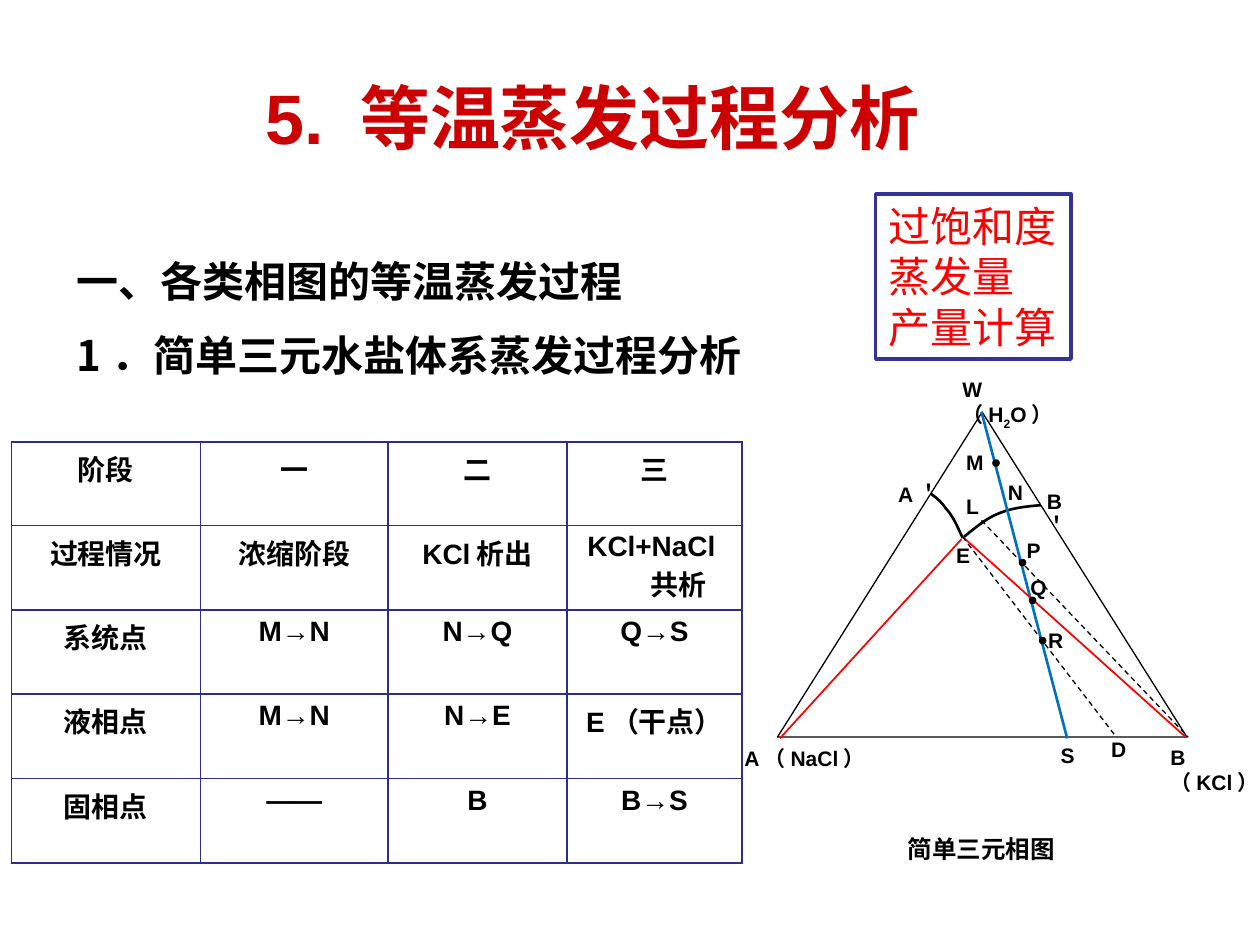
import pptx
import pptx.dml.color
import pptx.enum.dml
import pptx.enum.shapes
import pptx.enum.text
import pptx.oxml.ns
import pptx.util
import lxml.etree

Inches = pptx.util.Inches
Pt = pptx.util.Pt
Align = pptx.enum.text.PP_ALIGN
Shape = pptx.enum.shapes.MSO_SHAPE
qn = pptx.oxml.ns.qn

theme = {
    "colours": {
        name: pptx.dml.color.RGBColor.from_string(value)
        for name, value in {
            "white": "FFFFFF", "black": "000000", "red": "FF0000", "title": "CC0000",
            "blue": "0070C0", "frame": "333399", "grid": "2D2D8A",
        }.items()
    },
    "fonts": {"latin": "Arial", "chinese": "Noto Sans CJK SC"},
    "title": {"size": Pt(40), "bold": True, "name": "Arial"},
    "heading": {"size": Pt(24), "bold": True, "name": "Noto Sans CJK SC"},
    "topic": {"size": Pt(24), "bold": False, "name": "Arial"},
    "table": {"size": Pt(16), "bold": True, "name": "Arial"},
    "caption": {"size": Pt(14), "bold": True, "name": "Arial"},
    "label": {"size": Pt(12), "bold": True, "name": "Arial"},
}
colours = theme["colours"]


def write(frame, lines, style, colour="black", hanging=False, **layout):
    frame.word_wrap = True
    for index, line in enumerate(lines):
        para = frame.paragraphs[0] if index == 0 else frame.add_paragraph()
        for name, value in layout.items():
            if name != "space_before" or index > 0:
                setattr(para, name, value)
        if hanging:
            properties = para._p.get_or_add_pPr()
            properties.set("marL", str(Inches(0.38)))
            properties.set("indent", str(-Inches(0.38)))
        for position, text in enumerate(line.split("_")):
            span = para.add_run()
            span.text = text
            for name, value in theme[style].items():
                setattr(span.font, name, value)
            span.font.color.rgb = colours[colour]
            run_properties = span.font._element
            if position == 1:
                run_properties.set("baseline", "-25000")
            east_asian = lxml.etree.SubElement(run_properties, qn("a:ea"))
            east_asian.set("typeface", theme["fonts"]["chinese"])


def outline(shape, fill, colour, width):
    shape.shadow.inherit = False
    if fill:
        shape.fill.solid()
        shape.fill.fore_color.rgb = colours[fill]
    else:
        shape.fill.background()
    shape.line.color.rgb = colours[colour]
    shape.line.width = Pt(width)


deck = pptx.Presentation()
deck.slide_width = Inches(10)
deck.slide_height = Inches(7.5)
page = deck.slides.add_slide(deck.slide_layouts[6])
shapes = page.shapes

heading = shapes.add_textbox(Inches(0.51), Inches(1.86), Inches(8.21), Inches(0.89))
write(heading.text_frame, ["一、各类相图的等温蒸发过程", "1．简单三元水盐体系蒸发过程分析"],
      "heading", hanging=True, line_spacing=1.3, space_before=Pt(4.8))

stages = [
    ["阶段", "一", "二", "三"],
    ["过程情况", "浓缩阶段", "KCl析出", "KCl+NaCl共析"],
    ["系统点", "M→N", "N→Q", "Q→S"],
    ["液相点", "M→N", "N→E", "E（干点）"],
    ["固相点", "——", "B", "B→S"],
]
table = shapes.add_table(5, 4, Inches(0.09), Inches(3.51), Inches(5.8), Inches(3.34)).table
for column, width in zip(table.columns, [1.5, 1.49, 1.42, 1.39]):
    column.width = Inches(width)
for row, values in zip(table.rows, stages):
    row.height = Inches(0.67)
    for cell, value in zip(row.cells, values):
        write(cell.text_frame, [value], "table", hanging=True, alignment=Align.CENTER)
        cell_properties = cell._tc.get_or_add_tcPr()
        for side in ["a:lnL", "a:lnR", "a:lnT", "a:lnB"]:
            border = lxml.etree.SubElement(cell_properties, qn(side), w=str(Pt(1)))
            paint = lxml.etree.SubElement(border, qn("a:solidFill"))
            lxml.etree.SubElement(paint, qn("a:srgbClr"), val=str(colours["grid"]))
        cell.fill.solid()
        cell.fill.fore_color.rgb = colours["white"]
table.rows[0].height = Inches(0.66)

triangle = shapes.add_shape(Shape.ISOSCELES_TRIANGLE, Inches(6.17), Inches(3.27),
                            Inches(3.25), Inches(2.58))
outline(triangle, "white", "black", 0.75)

solubility_curves = [
    [[(7.39, 3.92), (7.43, 3.95), (7.47, 3.98), (7.51, 4.04)],
     [(7.51, 4.04), (7.56, 4.09), (7.6, 4.18), (7.64, 4.27)]],
    [[(7.64, 4.27), (7.74, 4.19), (7.83, 4.11), (7.94, 4.07)],
     [(7.94, 4.07), (8.04, 4.03), (8.15, 4.02), (8.26, 4.01)]],
]
steps = 10
for curve in solubility_curves:
    points = []
    for controls in curve:
        for step in range(1, steps + 1):
            t = step / steps
            weights = [(1 - t) ** 3, 3 * t * (1 - t) ** 2, 3 * t ** 2 * (1 - t), t ** 3]
            points.append([Inches(sum(weight * control[axis]
                                      for weight, control in zip(weights, controls)))
                           for axis in (0, 1)])
    start_x, start_y = curve[0][0]
    builder = shapes.build_freeform(Inches(start_x), Inches(start_y))
    builder.add_line_segments(points, close=False)
    outline(builder.convert_to_shape(), None, "black", 1.5)

lines = [
    (7.63, 4.28, 6.19, 5.86, "red", 1, False),
    (7.79, 3.27, 8.47, 5.86, "blue", 1.5, False),
    (7.64, 4.26, 9.41, 5.85, "red", 1, False),
    (7.79, 4.13, 9.43, 5.85, "black", 0.75, True),
    (7.64, 4.26, 8.86, 5.85, "black", 0.75, True),
]
for x1, y1, x2, y2, colour, width, dashed in lines:
    line = shapes.add_connector(pptx.enum.shapes.MSO_CONNECTOR.STRAIGHT,
                                Inches(x1), Inches(y1), Inches(x2), Inches(y2))
    line.line.color.rgb = colours[colour]
    line.line.width = Pt(width)
    if dashed:
        line.line.dash_style = pptx.enum.dml.MSO_LINE.DASH
    lxml.etree.SubElement(line._element.spPr, qn("a:effectLst"))

for x, y in [(7.88, 3.65), (8.09, 4.44), (8.17, 4.74), (8.25, 5.06)]:
    dot = shapes.add_shape(Shape.OVAL, Inches(x), Inches(y), Inches(0.05), Inches(0.05))
    outline(dot, "black", "black", 0.75)

labels = [
    ("W（H_2_O）", 7.54, 2.94, 1.05, 0.41),
    ("B＇", 8.21, 3.83, 0.52, 0.55),
    ("A＇", 7.03, 3.77, 0.57, 0.41),
    ("P", 8.05, 4.22, 0.52, 0.55),
    ("E", 7.49, 4.26, 0.52, 0.55),
    ("D", 8.72, 5.8, 0.52, 0.55),
    ("S", 8.32, 5.84, 0.52, 0.55),
    ("A（NaCl）", 5.81, 5.87, 1.15, 0.55),
    ("B（KCl）", 9.19, 5.86, 1.01, 0.48),
    ("L", 7.57, 3.87, 0.39, 0.46),
    ("N", 7.9, 3.76, 0.36, 0.45),
    ("M", 7.57, 3.52, 0.44, 0.3),
    ("Q", 8.08, 4.51, 0.52, 0.55),
    ("R", 8.22, 4.93, 0.52, 0.55),
]
for text, *place in labels:
    box = shapes.add_textbox(*map(Inches, place))
    write(box.text_frame, [text], "label", alignment=Align.JUSTIFY)

caption = shapes.add_textbox(Inches(6.74), Inches(6.57), Inches(2.1), Inches(0.55))
write(caption.text_frame, ["简单三元相图"], "caption", alignment=Align.CENTER)

topics = shapes.add_shape(Shape.RECTANGLE, Inches(6.95), Inches(1.54), Inches(1.55), Inches(1.31))
outline(topics, "white", "frame", 2)
write(topics.text_frame, ["过饱和度", "蒸发量", "产量计算"], "topic", "red", alignment=Align.LEFT)
topics.text_frame.word_wrap = False
topics.text_frame.vertical_anchor = pptx.enum.text.MSO_ANCHOR.TOP

title = shapes.add_textbox(Inches(2.01), Inches(0.3), Inches(7.49), Inches(1.25))
write(title.text_frame, ["5. 等温蒸发过程分析"], "title", "title")
title.text_frame.vertical_anchor = pptx.enum.text.MSO_ANCHOR.MIDDLE

deck.save("out.pptx")
